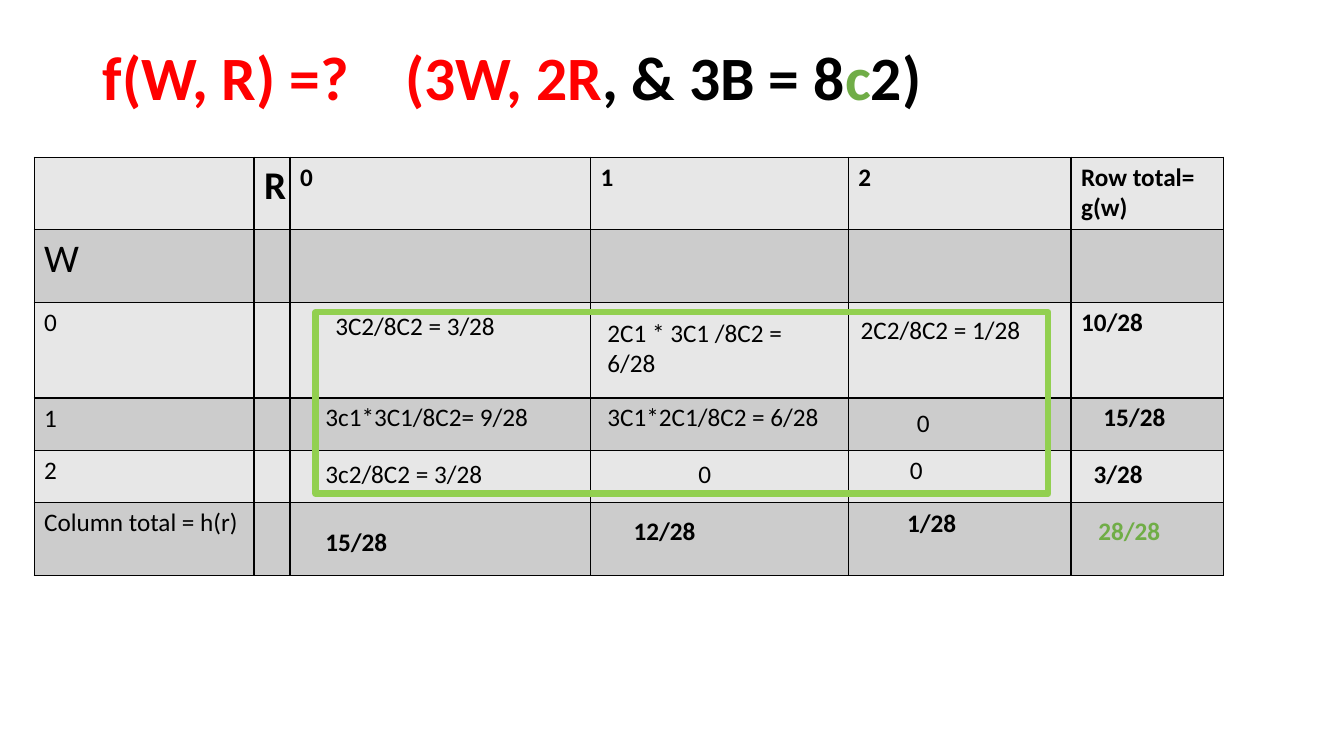
from pptx import Presentation
from pptx.dml.color import RGBColor
from pptx.enum.shapes import MSO_SHAPE
from pptx.enum.text import MSO_ANCHOR, MSO_AUTO_SIZE
from pptx.oxml import parse_xml
from pptx.oxml.ns import nsdecls
from pptx.util import Cm, Pt

BLACK, RED, GREEN, LIME = "000000", "FF0000", "70AD47", "92D050"
BANDS = ("E7E7E7", "CCCCCC")

TITLE = [("f(W, R) =?\t\t(3W, 2R", RED), (", & 3B = 8", BLACK),
         ("c", GREEN), ("2)", BLACK)]
COLUMNS = (5.54, 0.91, 7.57, 6.5, 5.61, 3.84)
ROWS = (1.83, 1.83, 2.41, 1.32, 1.32, 1.83)
GRID = [
    ["", "R", "0", "1", "2", "Row total= g(w)"],
    ["W", "", "", "", "", ""],
    ["0", "", "", "", "", "10/28"],
    ["1", "", "", "", "", ""],
    ["2", "", "", "", "", ""],
    ["Column total = h(r)", "", "", "", "", ""],
]
PROBABILITIES = [
    ("3C2/8C2 = 3/28", 8.2, 7.7, 5.79),
    ("3c1*3C1/8C2= 9/28", 7.95, 9.98, 6.05),
    ("3c2/8C2 = 3/28", 7.95, 11.43, 4.88),
    ("2C1 * 3C1 /8C2 = 6/28", 15.06, 7.87, 5.28),
    ("2C2/8C2 = 1/28", 21.44, 7.8, 4.57),
    ("3C1*2C1/8C2 = 6/28", 15.06, 9.98, 6.12),
    ("0", 17.35, 11.43, 2.21),
    ("0", 22.68, 11.33, 2.21),
    ("0", 22.86, 10.13, 2.21),
]
TOTALS = [
    ("15/28", 27.56, 9.98, 2.11, BLACK),
    ("3/28", 27.31, 11.43, 2.9, BLACK),
    ("28/28", 27.43, 12.85, 2.64, GREEN),
    ("15/28", 7.95, 13.13, 2.72, BLACK),
    ("12/28", 15.72, 12.85, 2.72, BLACK),
    ("1/28", 22.61, 12.67, 2.72, BLACK),
]


def rgb(code):
    return RGBColor.from_string(code)


def write(frame, text, size=18, color=BLACK, bold=False):
    run = frame.paragraphs[0].add_run()
    run.text = text
    run.font.name = "Calibri"
    run.font.size = Pt(size)
    run.font.bold = bold
    run.font.color.rgb = rgb(color)


def outline(cell):
    properties = cell._tc.get_or_add_tcPr()
    for index, side in enumerate(("lnL", "lnR", "lnT", "lnB")):
        properties.insert(index, parse_xml(
            f'<a:{side} {nsdecls("a")} w="12700"><a:solidFill>'
            f'<a:srgbClr val="{BLACK}"/></a:solidFill></a:{side}>'))


def add_title(slide):
    title = slide.shapes.title
    title.left, title.top, title.width, title.height = map(Cm, (2.34, 1.02, 29.21, 2.03))
    frame = title.text_frame
    frame.vertical_anchor = MSO_ANCHOR.MIDDLE
    frame.auto_size = MSO_AUTO_SIZE.NONE
    frame.paragraphs[0].line_spacing = 0.9
    frame.paragraphs[0].alignment = 1
    for text, color in TITLE:
        write(frame, text, size=44, color=color, bold=True)


def add_grid(slide):
    table = slide.shapes.add_table(
        len(ROWS), len(COLUMNS), Cm(0.86), Cm(3.96),
        Cm(sum(COLUMNS)), Cm(sum(ROWS))).table
    table.first_row = table.horz_banding = False
    for column, width in zip(table.columns, COLUMNS):
        column.width = Cm(width)
    for r, (row, height) in enumerate(zip(table.rows, ROWS)):
        row.height = Cm(height)
        for c, text in enumerate(GRID[r]):
            cell = table.cell(r, c)
            cell.fill.solid()
            cell.fill.fore_color.rgb = rgb(BANDS[r % 2])
            outline(cell)
            if text:
                write(cell.text_frame, text, size=28 if text in "RW" else 18,
                      bold=r == 0 or c == len(COLUMNS) - 1)


def add_entry(slide, text, left, top, width, **style):
    frame = slide.shapes.add_textbox(Cm(left), Cm(top), Cm(width), Cm(1.02)).text_frame
    frame.word_wrap = True
    frame.auto_size = MSO_AUTO_SIZE.SHAPE_TO_FIT_TEXT
    write(frame, text, **style)


def add_highlight(slide):
    highlight = slide.shapes.add_shape(
        MSO_SHAPE.RECTANGLE, Cm(7.95), Cm(7.87), Cm(18.47), Cm(4.57))
    highlight.shadow.inherit = False
    highlight.fill.background()
    highlight.line.color.rgb = rgb(LIME)
    highlight.line.width = Pt(4.5)


def main():
    deck = Presentation()
    deck.slide_width, deck.slide_height = Cm(33.87), Cm(19.05)
    slide = deck.slides.add_slide(deck.slide_layouts[5])
    add_title(slide)
    add_grid(slide)
    for text, left, top, width in PROBABILITIES:
        add_entry(slide, text, left, top, width)
    for text, left, top, width, color in TOTALS:
        add_entry(slide, text, left, top, width, color=color, bold=True)
    add_highlight(slide)
    deck.save("out.pptx")


if __name__ == "__main__":
    main()
